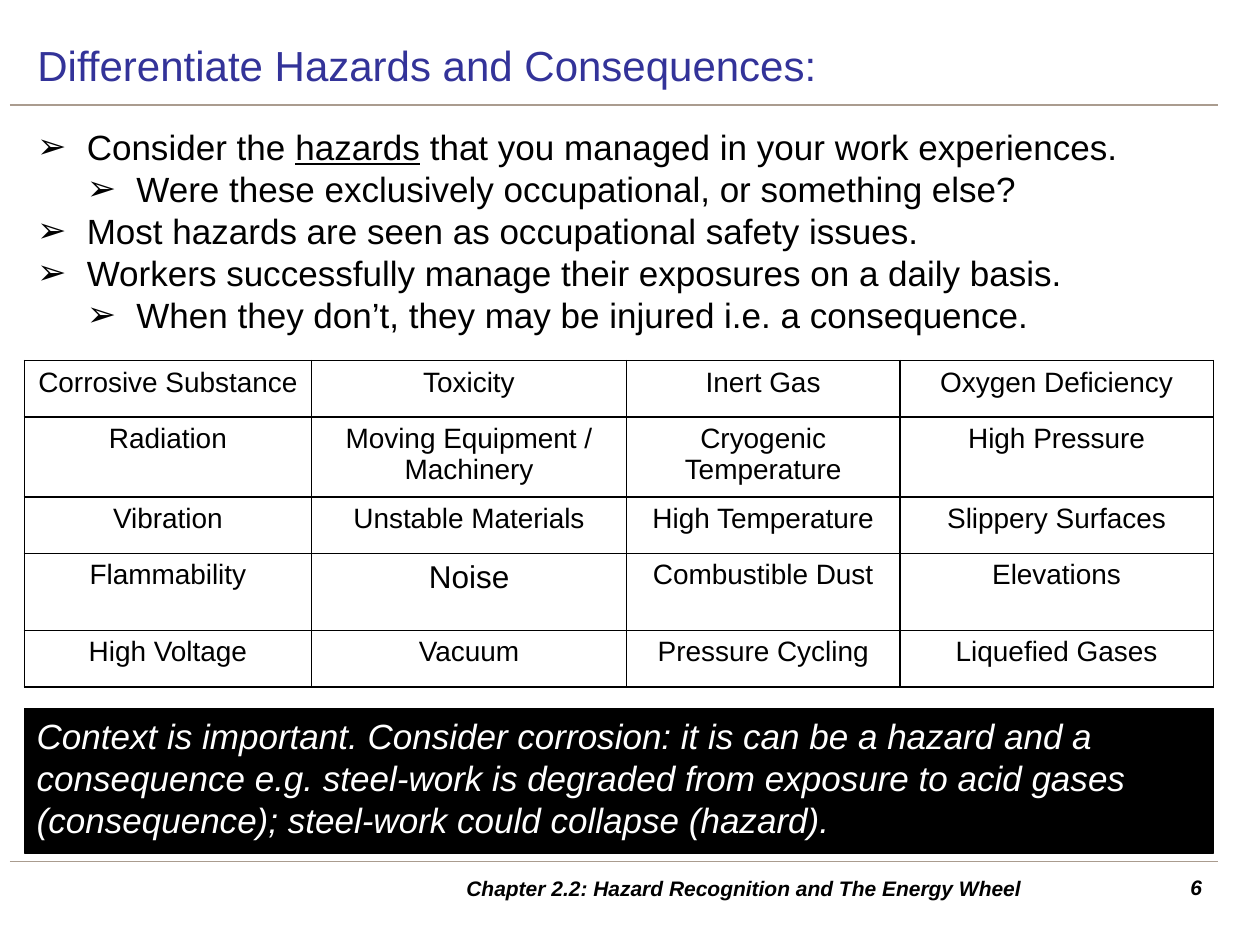
from lxml import etree
from pptx import Presentation, util as u
from pptx.dml.color import RGBColor
from pptx.enum import shapes, text
from pptx.oxml.ns import qn

Cm, Pt = u.Cm, u.Pt
BLACK, WHITE, TITLE_BLUE, RULE_TAN = "000000", "FFFFFF", "333399", "AA9C8F"

HAZARDS = [
    ["Corrosive Substance", "Toxicity", "Inert Gas", "Oxygen Deficiency"],
    ["Radiation", "Moving Equipment / Machinery", "Cryogenic Temperature", "High Pressure"],
    ["Vibration", "Unstable Materials", "High Temperature", "Slippery Surfaces"],
    ["Flammability", "Noise", "Combustible Dust", "Elevations"],
    ["High Voltage", "Vacuum", "Pressure Cycling", "Liquefied Gases"],
]
POINTS = [
    (0, ["Consider the ", "hazards", " that you managed in your work experiences."]),
    (1, ["Were these exclusively occupational, or something else?"]),
    (0, ["Most hazards are seen as occupational safety issues."]),
    (0, ["Workers successfully manage their exposures on a daily basis."]),
    (1, ["When they don’t, they may be injured i.e. a consequence."]),
]


def rgb(value):
    return RGBColor.from_string(value)


def box(left, top, width, height):
    return Cm(left), Cm(top), Cm(width), Cm(height)


def style(paragraph, size, color=BLACK, bold=False, italic=False, align=text.PP_ALIGN.LEFT):
    paragraph.alignment = align
    for run in paragraph.runs:
        run.font.name = "Arial"
        run.font.size = Pt(size)
        run.font.bold = bold
        run.font.italic = italic
        run.font.color.rgb = rgb(color)


def add_rule(slide, left, top, width):
    rule = slide.shapes.add_connector(
        shapes.MSO_CONNECTOR.STRAIGHT, left, top, left + width, top)
    rule.line.color.rgb = rgb(RULE_TAN)
    rule.line.width = Pt(0.75)
    etree.SubElement(rule._element.spPr, qn("a:effectLst"))


def add_heading(slide, left, top, width, height):
    heading = slide.shapes.title
    heading.left, heading.top, heading.width, heading.height = left, top, width, height
    frame = heading.text_frame
    frame.text = "Differentiate Hazards and Consequences:"
    frame.vertical_anchor = text.MSO_ANCHOR.MIDDLE
    style(frame.paragraphs[0], 24, TITLE_BLUE)
    add_rule(slide, Cm(0.2), top + height + Cm(0.12), Cm(24.36))


def add_points(slide, left, top, width, height):
    frame = slide.shapes.add_textbox(left, top, width, height).text_frame
    frame.word_wrap = True
    for index, (level, pieces) in enumerate(POINTS):
        point = frame.paragraphs[0] if index == 0 else frame.add_paragraph()
        properties = point._p.get_or_add_pPr()
        properties.set("marL", str(Cm(level + 1)))
        properties.set("indent", str(-Cm(1)))
        etree.SubElement(properties, qn("a:buFont")).set("typeface", "Arial")
        etree.SubElement(properties, qn("a:buChar")).set("char", "➢")
        for piece in pieces:
            run = point.add_run()
            run.text = piece
            run.font.underline = piece == "hazards"
        style(point, 20)


def add_borders(cell):
    properties = cell._tc.get_or_add_tcPr()
    for position, side in enumerate(("lnL", "lnR", "lnT", "lnB")):
        border = etree.Element(qn(f"a:{side}"), w=str(Pt(1)))
        fill = etree.SubElement(border, qn("a:solidFill"))
        etree.SubElement(fill, qn("a:srgbClr")).set("val", BLACK)
        properties.insert(position, border)


def add_hazard_table(slide, left, top, width, height):
    table = slide.shapes.add_table(
        len(HAZARDS), len(HAZARDS[0]), left, top, width, height).table
    for column, column_width in zip(table.columns, (5.79, 6.35, 5.51, 6.32)):
        column.width = Cm(column_width)
    for index, (row, hazards) in enumerate(zip(table.rows, HAZARDS)):
        row.height = Cm(1.55 if index % 2 else 1.14)
        for cell, hazard in zip(row.cells, hazards):
            cell.text_frame.text = hazard
            style(cell.text_frame.paragraphs[0], 18 if hazard == "Noise" else 16,
                  align=text.PP_ALIGN.CENTER)
            cell.fill.solid()
            cell.fill.fore_color.rgb = rgb(WHITE)
            add_borders(cell)


def add_context(slide, left, top, width, height):
    context = slide.shapes.add_shape(
        shapes.MSO_SHAPE.RECTANGLE, left, top, width, height)
    context.shadow.inherit = False
    context.fill.solid()
    context.fill.fore_color.rgb = rgb(BLACK)
    context.line.color.rgb = rgb(BLACK)
    context.line.width = Pt(0.75)
    frame = context.text_frame
    frame.word_wrap = True
    frame.vertical_anchor = text.MSO_ANCHOR.TOP
    frame.text = (
        "Context is important. Consider corrosion: it is can be a hazard and a "
        "consequence e.g. steel-work is degraded from exposure to acid gases "
        "(consequence); steel-work could collapse (hazard).")
    style(frame.paragraphs[0], 20, WHITE, italic=True)


def add_footer(slide, left, top, width, height):
    add_rule(slide, Cm(0.2), top - Cm(0.14), Cm(24.36))
    number_width = Cm(1.47)
    parts = [
        ("Chapter 2.2: Hazard Recognition and The Energy Wheel", left, Cm(15),
         text.PP_ALIGN.CENTER, text.MSO_ANCHOR.MIDDLE),
        ("6", left + width - number_width, number_width,
         text.PP_ALIGN.RIGHT, text.MSO_ANCHOR.TOP),
    ]
    for wording, part_left, part_width, align, anchor in parts:
        frame = slide.shapes.add_textbox(part_left, top, part_width, height).text_frame
        frame.word_wrap = True
        frame.vertical_anchor = anchor
        frame.text = wording
        style(frame.paragraphs[0], 12, bold=True, italic=True, align=align)


def main():
    deck = Presentation()
    deck.slide_width, deck.slide_height = Cm(25.4), Cm(19.05)
    slide = deck.slides.add_slide(deck.slide_layouts[5])
    add_heading(slide, *box(0.5, 0.6, 24, 1.4))
    add_points(slide, *box(0.5, 2.4, 23.98, 12.55))
    add_hazard_table(slide, *box(0.49, 7.27, 23.97, 6.52))
    add_context(slide, *box(0.49, 14.28, 23.98, 2.92))
    add_footer(slide, *box(7.5, 17.5, 16.98, 0.8))
    deck.save("out.pptx")


if __name__ == "__main__":
    main()
